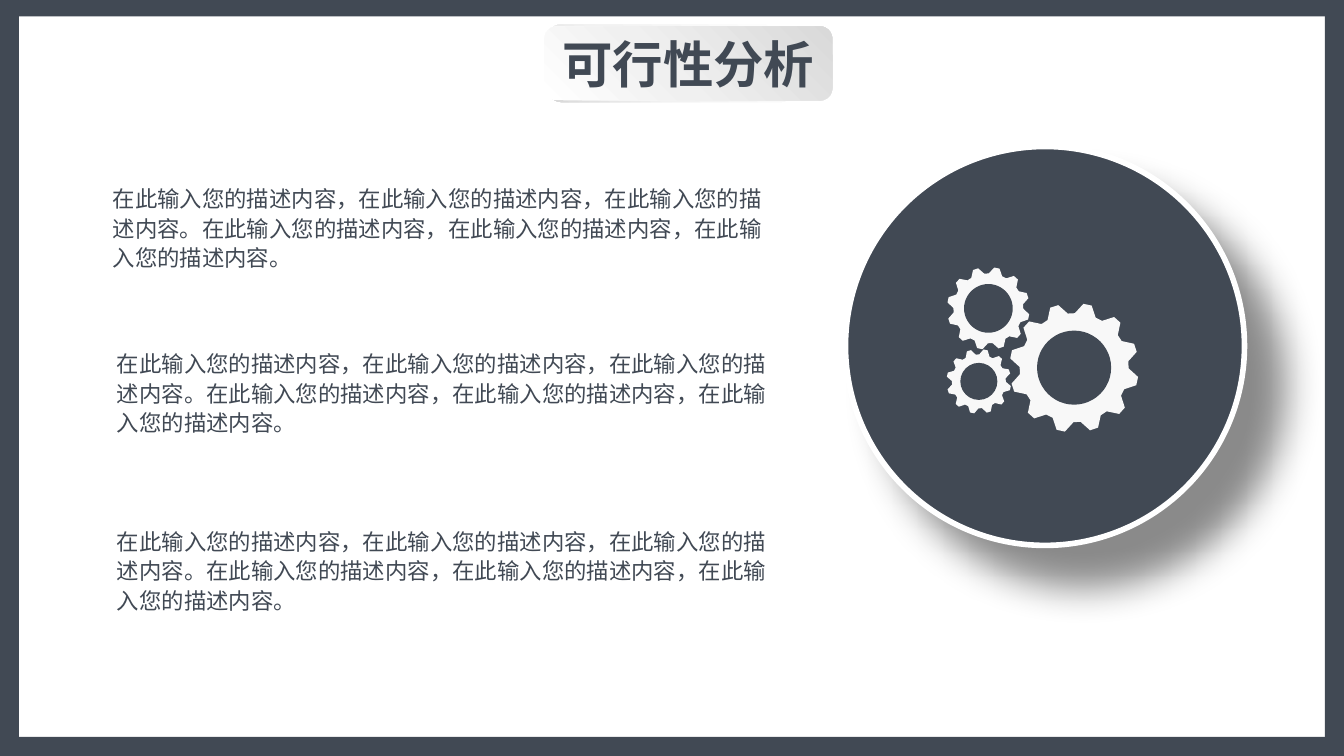
from math import cos, pi, radians, sin
from lxml.etree import SubElement as Sub
from pptx import Presentation
from pptx.dml.color import RGBColor as Rgb
from pptx.enum.shapes import MSO_SHAPE as Shape
from pptx.enum.text import MSO_ANCHOR as Anchor, MSO_AUTO_SIZE as Auto, PP_ALIGN as Align
from pptx.oxml.ns import qn
from pptx.util import Cm, Pt

WIDE, HIGH, EDGE = 25.4, 14.29, 0.36
DARK, PALE, WHITE = "414954", "F8F8F8", "FFFFFF"
TITLE = "可行性分析"
LINE = "在此输入您的描述内容，在此输入您的描述内容，在此输入您的描述内容。"
BODY = LINE * 2
SPOTS = [(1.88, 3.33), (1.96, 6.45), (1.96, 9.8)]
BARS = [
    (0, -0.05, WIDE, EDGE),
    (0, HIGH - EDGE, WIDE, EDGE),
    (0, 0, EDGE, HIGH),
    (WIDE - EDGE, 0, EDGE, HIGH),
]
PLATES = [
    ((10.36, 0.46, 4.65, 1.47), 135, [(0, WHITE), (62, "F2F2F2"), (100, "D9D9D9")]),
    ((10.29, 0.5, 5.44, 1.4), 315, [(0, WHITE), (42, "F0F0F0"), (100, "D9D9D9")]),
]
GEARS = [
    (20.3, 6.95, 1.22, 1.03, 0.7),
    (18.68, 5.83, 0.78, 0.66, 0.46),
    (18.5, 7.21, 0.61, 0.51, 0.35),
]
TEETH, TURN = 12, 12

deck = Presentation()
deck.slide_width, deck.slide_height = Cm(WIDE), Cm(HIGH)
slide = deck.slides.add_slide(deck.slide_layouts[6])
shapes = slide.shapes


def color(code):
    return Rgb.from_string(code)


def paint(shape, code):
    shape.shadow.inherit = False
    shape.fill.solid()
    shape.fill.fore_color.rgb = color(code)
    shape.line.fill.background()


def add(kind, box, code):
    shape = shapes.add_shape(kind, *map(Cm, box))
    paint(shape, code)
    return shape


def write(shape, text, size=12, bold=False, align=Align.LEFT, space=None, wrap=True):
    frame = shape.text_frame
    frame.word_wrap = wrap
    para = frame.paragraphs[0]
    para.alignment = align
    para.line_spacing = space
    run = para.add_run()
    run.text = text
    font = run.font
    font.name, font.size, font.bold = "Arial", Pt(size), bold
    font.color.rgb = color(DARK)
    return frame


def blend(shape, angle, stops):
    shape.fill.gradient()
    shape.fill.gradient_angle = 360 - angle
    group = shape._element.spPr.find(qn("a:gradFill")).find(qn("a:gsLst"))
    for old in list(group):
        group.remove(old)
    for spot, code in stops:
        stop = Sub(group, qn("a:gs"), pos=str(spot * 1000))
        Sub(stop, qn("a:srgbClr"), val=code)


def shade(shape, blur, gap, angle, alpha):
    effect = shape._element.spPr.find(qn("a:effectLst"))
    outer = Sub(effect, qn("a:outerShdw"), blurRad=str(Pt(blur)), dist=str(Pt(gap)),
                dir=str(angle * 60000), algn="tl", rotWithShape="0")
    tint = Sub(outer, qn("a:srgbClr"), val="000000")
    Sub(tint, qn("a:alpha"), val=str(alpha * 1000))


def gear(x, y, tip, root, hole):
    rim = []
    for step in range(TEETH * 4):
        turn = radians(TURN) + (step + 0.5) * pi / (TEETH * 2)
        far = tip if step % 4 in (0, 3) else root
        rim.append((Cm(x + far * cos(turn)), Cm(y + far * sin(turn))))
    pen = shapes.build_freeform(*rim[0])
    pen.add_line_segments(rim[1:], close=True)
    paint(pen.convert_to_shape(), PALE)
    add(Shape.OVAL, (x - hole, y - hole, hole * 2, hole * 2), DARK)


for bar in BARS:
    add(Shape.RECTANGLE, bar, DARK)

for box, angle, stops in PLATES:
    plate = add(Shape.ROUNDED_RECTANGLE, box, WHITE)
    blend(plate, angle, stops)
frame = write(plate, TITLE, size=27, bold=True, align=Align.CENTER, wrap=False)
frame.vertical_anchor = Anchor.MIDDLE

disc = add(Shape.OVAL, (15.98, 2.77, 7.54, 7.54), DARK)
disc.line.color.rgb = color(WHITE)
disc.line.width = Pt(3)
shade(disc, 20, 29, 46, 45)

for part in GEARS:
    gear(*part)

for left, top in SPOTS:
    note = shapes.add_textbox(Cm(left), Cm(top), Cm(13), Cm(1.93))
    write(note, BODY, space=1.1).auto_size = Auto.SHAPE_TO_FIT_TEXT

deck.save("out.pptx")
